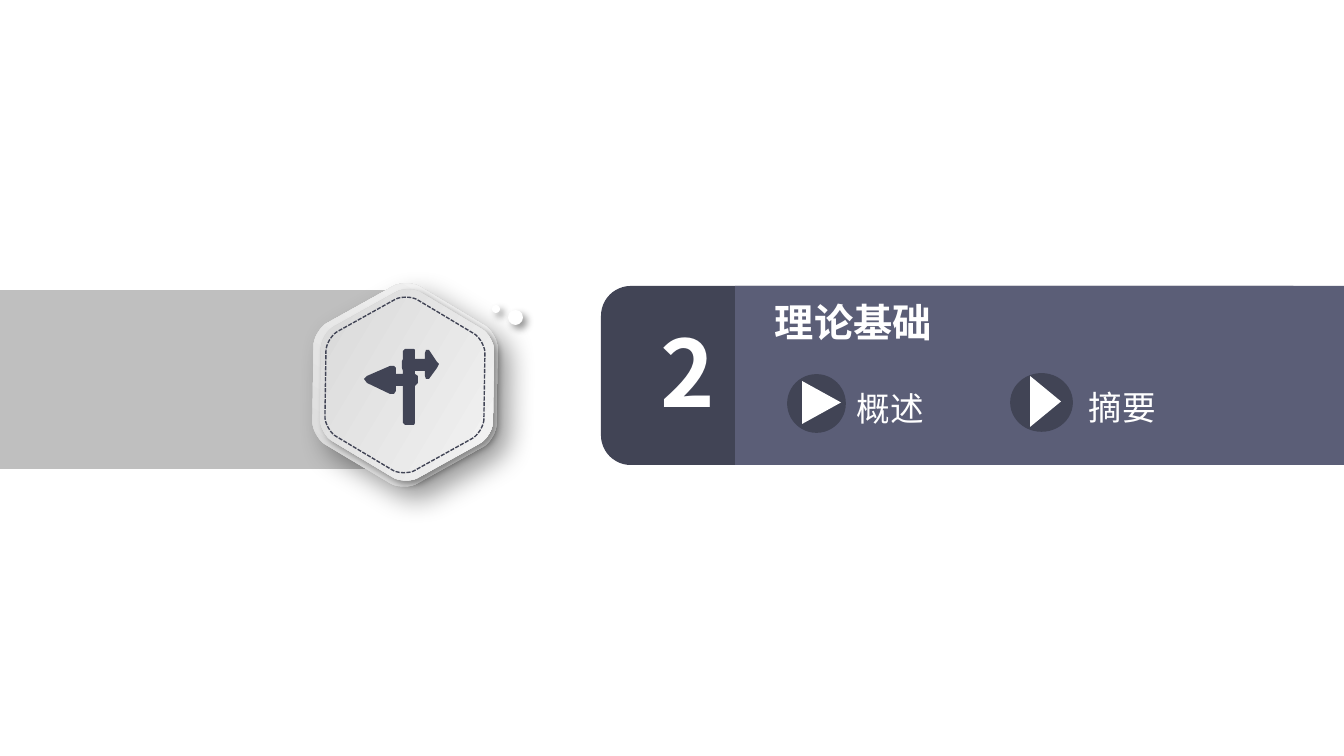
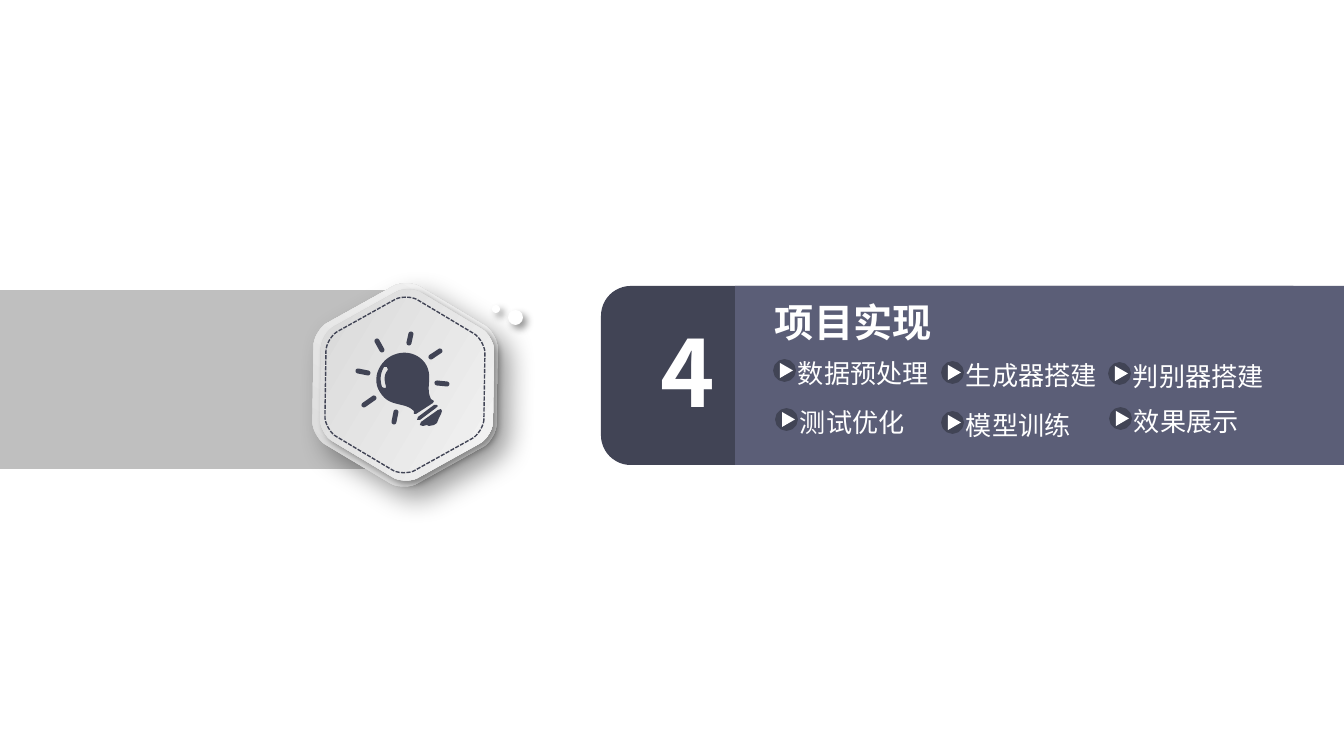
import math

from lxml import etree
from pptx import Presentation
from pptx.dml.color import RGBColor
from pptx.enum.dml import MSO_LINE
from pptx.enum.shapes import MSO_SHAPE
from pptx.enum.text import MSO_ANCHOR, MSO_AUTO_SIZE, PP_ALIGN
from pptx.oxml.ns import qn
from pptx.util import Emu, Pt

RECT, ROUNDED = MSO_SHAPE.RECTANGLE, MSO_SHAPE.ROUNDED_RECTANGLE
OVAL, TRIANGLE = MSO_SHAPE.OVAL, MSO_SHAPE.ISOSCELES_TRIANGLE
LEFT, CENTER = PP_ALIGN.LEFT, PP_ALIGN.CENTER
DASH = MSO_LINE.SQUARE_DOT

EMU_PER_PX = 914400 / 134.4
FONT = "Noto Sans CJK SC"
WHITE, BLACK, GREY = "FFFFFF", "000000", "BFBFBF"
DARK, SLATE = "414455", "5B5E77"
SILVER, PEARL = "D3D3D3", "F9F9F9"
TILT = 30.9
SOFT_SHADOW, TIGHT_SHADOW = (15, 9), (4, 3)  # blur and distance in points


def px(length):
    return Emu(round(length * EMU_PER_PX))


def rgb(code):
    return RGBColor.from_string(code)


def cubic(start, curve, steps=12):
    """Points along a Bezier curve, without its start."""
    x1, y1, x2, y2, x3, y3 = curve
    points = []
    for step in range(1, steps + 1):
        t = step / steps
        weights = (1 - t) ** 3, 3 * t * (1 - t) ** 2, 3 * t * t * (1 - t), t ** 3
        points.append((sum(w * x for w, x in zip(weights, (start[0], x1, x2, x3))),
                       sum(w * y for w, y in zip(weights, (start[1], y1, y2, y3)))))
    return points


def flatten(contour):
    """Turn corners (x, y) and curves (x1, y1, x2, y2, x, y) into points."""
    points = []
    for part in contour:
        points += [part] if len(part) == 2 else cubic(points[-1], part)
    return points


def rounded_hexagon(cx, cy, height):
    side = height / math.sqrt(3)
    corners = [(cx + side * math.cos(math.radians(60 * k)),
                cy + side * math.sin(math.radians(60 * k))) for k in range(6)]
    contour = []
    for k, (x, y) in enumerate(corners):
        (ax, ay), (bx, by) = corners[k - 1], corners[(k + 1) % 6]
        enter = x + 0.14 * (ax - x), y + 0.14 * (ay - y)
        leave = x + 0.14 * (bx - x), y + 0.14 * (by - y)
        contour += [enter, ((enter[0] + x) / 2, (enter[1] + y) / 2,
                            (leave[0] + x) / 2, (leave[1] + y) / 2, *leave)]
    return contour


def capsule(x1, y1, x2, y2, radius=2.5):
    heading = math.atan2(y2 - y1, x2 - x1)
    contour = []
    for x, y, turn in ((x2, y2, -90), (x1, y1, 90)):
        for step in range(7):
            angle = heading + math.radians(turn + 30 * step)
            contour.append((x + radius * math.cos(angle), y + radius * math.sin(angle)))
    return contour


SIGNPOST = [[
    (437, 362), (429, 350), (426, 350), (425, 353), (425, 359), (415, 359),
    (415, 350), (414, 349), (405, 349), (403, 351), (403, 359), (402, 361),
    (402, 368), (403, 371), (403, 374), (396, 374), (396, 368), (394, 366),
    (390, 366), (367, 376), (364, 379), (367, 383), (390, 394), (394, 394),
    (396, 391), (396, 386), (403, 386), (403, 423), (405, 425), (414, 425),
    (415, 423), (415, 386), (418, 383), (418, 376), (415, 374), (415, 371),
    (425, 371), (425, 376), (426, 379), (429, 379), (437, 368), (439, 364),
]]

RAYS = [(382, 350, 377, 341), (368, 373, 358, 371), (374, 398, 364, 405),
        (396, 412, 394, 422), (437, 383, 447, 384), (431, 357, 440, 351),
        (409, 343, 411, 334)]
GLASS = [(414, 411), (405, 402, 391, 407, 382, 395), (372, 383, 376, 367, 388, 358),
         (401, 349, 417, 352, 425, 363), (434, 376, 425, 387, 431, 399),
         (434, 401), (433, 403), (416, 414), (414, 414)]
GLINT = [(387, 367), (384, 367), (380, 374, 380, 380, 382, 387), (384, 388),
         (386, 388), (386, 386), (384, 380, 384, 374, 388, 370)]
COLLAR = [(438, 406), (436, 408), (420, 420), (417, 420), (418, 417),
          (434, 405), (437, 405)]
CAP = [(438, 410), (421, 422), (420, 425), (423, 426), (427, 425), (429, 426),
       (434, 425), (437, 423), (439, 418), (441, 414), (442, 411), (441, 409)]
BULB = [GLASS, GLINT, COLLAR, CAP] + [capsule(*ray) for ray in RAYS]


class Deck:
    def __init__(self):
        self.prs = Presentation()
        self.prs.slide_width, self.prs.slide_height = px(1344), px(756)
        self.slide = None

    def new_slide(self):
        self.slide = self.prs.slides.add_slide(self.prs.slide_layouts[6])

    def paint(self, shape, fill=None, line=None, shadow=None):
        """Set fill, (colour, points) line and (blur, distance) shadow."""
        if fill:
            shape.fill.solid()
            shape.fill.fore_color.rgb = rgb(fill)
        else:
            shape.fill.background()
        if line:
            shape.line.color.rgb = rgb(line[0])
            shape.line.width = Pt(line[1])
        else:
            shape.line.fill.background()
        shape.shadow.inherit = False
        if shadow:
            effects = shape._element.spPr.find(qn("a:effectLst"))
            outer = etree.SubElement(
                effects, qn("a:outerShdw"), blurRad=str(Pt(shadow[0])),
                dist=str(Pt(shadow[1])), dir="2700000", algn="tl", rotWithShape="0")
            color = etree.SubElement(outer, qn("a:srgbClr"), val=BLACK)
            etree.SubElement(color, qn("a:alpha"), val="40000")
        return shape

    def shape(self, kind, box, fill, **style):
        shape = self.slide.shapes.add_shape(kind, *map(px, box))
        return self.paint(shape, fill, **style)

    def outline(self, contours, fill=None, **style):
        builder = None
        for contour in contours:
            points = [(px(x), px(y)) for x, y in flatten(contour)]
            if builder is None:
                builder = self.slide.shapes.build_freeform(*points[0])
            else:
                builder.move_to(*points[0])
            builder.add_line_segments(points[1:], close=True)
        return self.paint(builder.convert_to_shape(), fill, **style)

    def hexagon(self, cx, height, angle=None, **style):
        hexagon = self.outline([rounded_hexagon(cx, 385, height)], **style)
        hexagon.rotation = TILT
        if angle is not None:
            hexagon.fill.gradient()
            hexagon.fill.gradient_angle = angle
            for stop, color in zip(hexagon.fill.gradient_stops, (SILVER, PEARL)):
                stop.color.rgb = rgb(color)
        return hexagon

    def text(self, words, box, size, bold=False, align=LEFT, inset=(0, 0)):
        frame = self.slide.shapes.add_textbox(*map(px, box)).text_frame
        frame.word_wrap = True
        frame.auto_size = MSO_AUTO_SIZE.SHAPE_TO_FIT_TEXT
        frame.vertical_anchor = MSO_ANCHOR.MIDDLE
        frame.margin_left = frame.margin_right = px(inset[0])
        frame.margin_top = frame.margin_bottom = px(inset[1])
        paragraph = frame.paragraphs[0]
        paragraph.alignment = align
        run = paragraph.add_run()
        run.text = words
        run.font.size, run.font.bold, run.font.name = Pt(size), bold, FONT
        run.font.color.rgb = rgb(WHITE)
        etree.SubElement(run.font._element, qn("a:ea"), typeface=FONT)

    def topic(self, words, size, label, disc, arrow):
        """A label with a play button, each part in its own box."""
        self.text(words, label, size)
        self.shape(OVAL, disc, DARK, line=(DARK, 2))
        self.shape(TRIANGLE, arrow, WHITE).rotation = 90

    def section(self, number, title):
        self.new_slide()
        self.shape(RECT, (0, 290, 410, 179), GREY)
        self.hexagon(405, 184, angle=90, shadow=SOFT_SHADOW)
        self.hexagon(407, 173, angle=0, shadow=TIGHT_SHADOW)
        self.hexagon(405, 159, line=(DARK, 0.75)).line.dash_style = DASH
        for dot in ((492, 305, 8, 8), (508, 310, 15, 15)):
            self.shape(OVAL, dot, WHITE, shadow=TIGHT_SHADOW)
        self.shape(ROUNDED, (601, 286, 722, 179), DARK)
        self.shape(RECT, (735, 286, 609, 179), SLATE)
        self.text(number, (648, 308, 40, 125), 49.5, True, CENTER, (13, 7))
        self.text(title, (767, 294, 301, 55), 21, True, inset=(8, 4))


def theory_slide(deck):
    deck.section("2", "理论基础")
    deck.outline(SIGNPOST, DARK)
    deck.topic("概述", 18, (857, 388, 173, 40), (789, 376, 55, 55), (800, 383, 43, 39))
    deck.topic("摘要", 18, (1089, 387, 227, 40), (1012, 375, 59, 55), (1020, 386, 51, 31))


def project_slide(deck):
    deck.section("4", "项目实现")
    steps = [("数据预处理", 775, 361, 134), ("生成器搭建", 943, 363, 134),
             ("判别器搭建", 1110, 364, 167), ("测试优化", 777, 410, 134),
             ("模型训练", 943, 413, 134), ("效果展示", 1111, 409, 167)]
    for words, x, y, width in steps:
        deck.topic(words, 14, (x + 23, y - 4, width, 32), (x, y, 19, 19),
                   (x + 4, y + 3, 15, 13))
    deck.outline(BULB, DARK)


def main():
    deck = Deck()
    theory_slide(deck)
    project_slide(deck)
    deck.prs.save("out.pptx")


if __name__ == "__main__":
    main()
